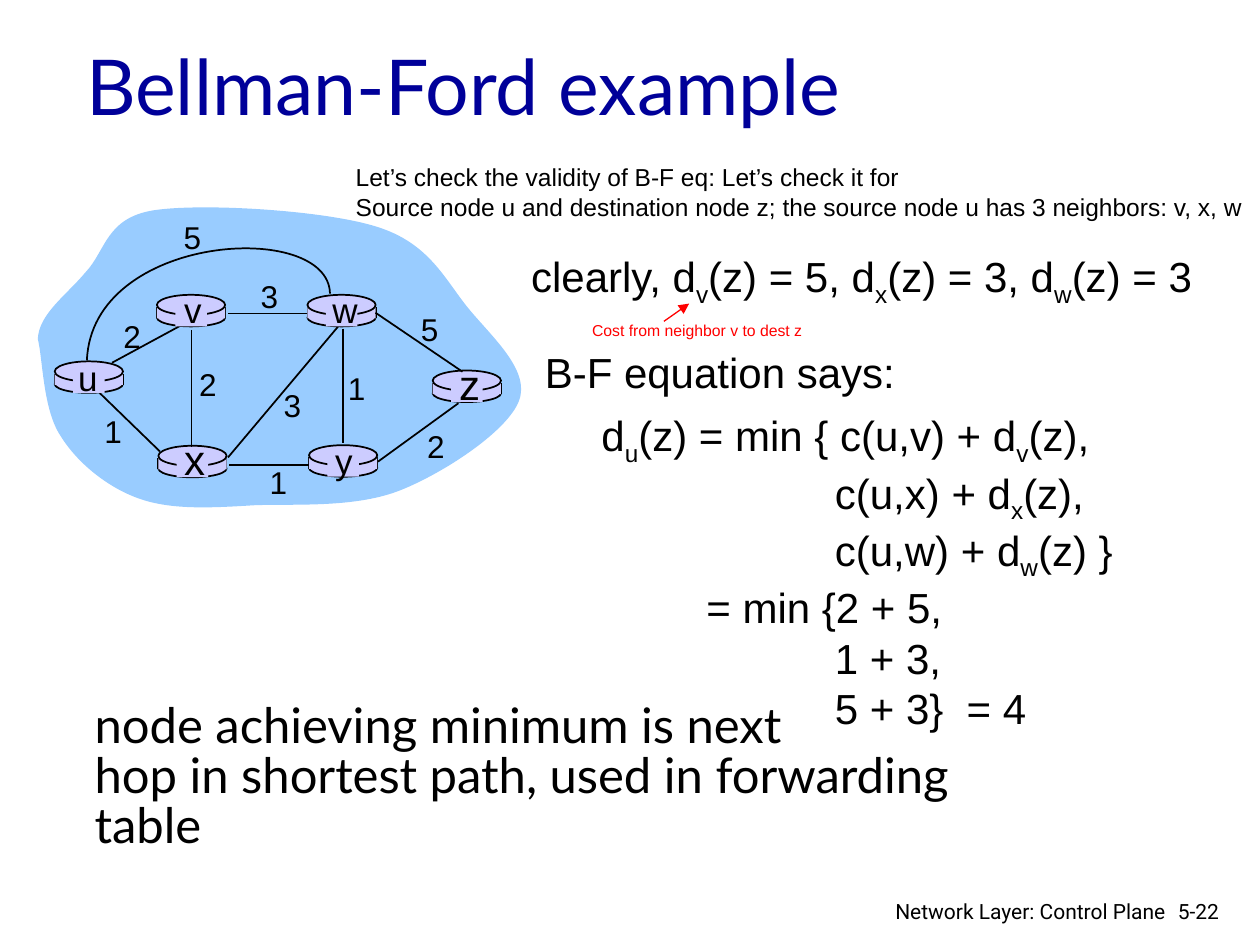
from lxml.etree import SubElement
from pptx import Presentation
from pptx.dml.color import RGBColor
from pptx.enum.shapes import MSO_CONNECTOR, MSO_SHAPE
from pptx.enum.text import MSO_ANCHOR, PP_ALIGN
from pptx.oxml.ns import qn
from pptx.util import Pt

BLACK = RGBColor(0x00, 0x00, 0x00)
NAVY = RGBColor(0x00, 0x00, 0x99)
RED = RGBColor(0xFF, 0x00, 0x00)
SKY = RGBColor(0x99, 0xCC, 0xFF)
LAVENDER = RGBColor(0xCC, 0xCC, 0xFF)

# Router name: left, top, label size, label centre x, label top
ROUTERS = {
    "u": (31.3, 206.5, 20, 50.2, 200), "x": (90.5, 254.75, 24, 111.2, 244.1),
    "v": (89.7, 168.5, 20, 110.2, 161.3), "w": (175.7, 168.5, 20, 195.8, 161.3),
    "y": (176.6, 254.4, 20, 196.5, 247.7), "z": (247.3, 211.75, 24, 268.2, 201.6),
}
# Start x, start y, end x, end y, cost, cost centre x, cost top
LINKS = [
    (64, 207.3, 106.5, 184.3, "2", 75.5, 177.8),
    (196, 187.8, 196, 253, "1", 203.8, 207.5),
    (109.4, 188.5, 109.4, 255.5, "2", 118.8, 205.2),
    (130.3, 261.4, 193.3, 186.5, "3", 167, 217),
    (216, 263.8, 262, 230.4, "2", 249, 240.5),
    (176.5, 265.6, 131, 265.6, "1", 159, 261.2),
    (91.4, 258, 57, 224.6, "1", 64.6, 231.8),
    (175.7, 179.2, 130.3, 179.2, "3", 154, 154.8),
    (264.3, 212.4, 214.6, 178.7, "5", 245.5, 173.5),
]
CLOUD = [
    (21.6, 193.7),
    (22.3, 179.3), (38.2, 168.5), (49, 155.5),
    (60.5, 143.3), (60.5, 124.6), (87.8, 120.2),
    (115.9, 115.9), (185.8, 120.2), (215.3, 129.6),
    (245.5, 139), (254.2, 159.8), (267.8, 176.4),
    (281.5, 193), (303.1, 211.7), (296.6, 229),
    (290.2, 246.2), (254.2, 270), (229, 280.1),
    (203.8, 290.2), (170.6, 288), (146.2, 288.7),
    (121.7, 290.2), (98.6, 291.6), (79.9, 285.1),
    (61.2, 278.6), (43.9, 264.2), (34.6, 249.1),
    (24.5, 234), (24.5, 205.2), (21.6, 193.7),
]
ARC = [(188.6, 167.8), (187.9, 125.3), (52.6, 133.2), (49.7, 205.9)]
EQUATION = [
    ("d_u(z) = min { c(u,v) + d_v(z),", 0),
    ("c(u,x) + d_x(z),", 133.4),
    ("c(u,w) + d_w(z) }", 133.4),
    ("= min {2 + 5,", 60),
    ("1 + 3,", 133.4),
    ("5 + 3}  = 4", 133.4),
]


def bend(shape):
    """Turn each three straight segments of a freeform into one cubic curve."""
    segments = list(shape._element.iter(qn("a:lnTo")))
    for first in range(0, len(segments), 3):
        group = segments[first:first + 3]
        group[0].tag = qn("a:cubicBezTo")
        for segment in group[1:]:
            group[0].append(segment[0])
            segment.getparent().remove(segment)


class Drawing:
    """Holds the text style and the shapes being drawn on."""

    def __init__(self, slide, font="Arial"):
        self.slide = slide
        self.shapes = slide.shapes
        self.font = font

    def style(self, run, size, color=BLACK, font=None):
        """Set size, colour and typeface of a run."""
        run.font.size = Pt(size)
        run.font.color.rgb = color
        run.font.name = font or self.font

    def title(self, text, left, top, width, height):
        """Place and format the title placeholder."""
        shape = self.slide.shapes.title
        shape.left, shape.top, shape.width, shape.height = map(Pt, (left, top, width, height))
        frame = shape.text_frame
        frame.text = text
        frame.vertical_anchor = MSO_ANCHOR.MIDDLE
        frame.paragraphs[0].alignment = PP_ALIGN.LEFT
        self.style(frame.paragraphs[0].runs[0], 44, NAVY, "Lato")

    def text(self, lines, left, top, width, height, size, color=BLACK, font=None,
             align=PP_ALIGN.LEFT, wrap=False, spacing=None):
        """Add text lines of (text, indent); an underscore lowers the next letter."""
        frame = self.shapes.add_textbox(Pt(left), Pt(top), Pt(width), Pt(height)).text_frame
        frame.word_wrap = wrap
        for index, (line, indent) in enumerate(lines):
            paragraph = frame.add_paragraph() if index else frame.paragraphs[0]
            paragraph.alignment = align
            if spacing:
                paragraph.line_spacing = spacing
            if indent:
                paragraph._p.get_or_add_pPr().set("marL", str(Pt(indent)))
            first, *rest = line.split("_")
            pieces = [(first, False)]
            for part in rest:
                pieces += [(part[0], True), (part[1:], False)]
            for piece, lowered in pieces:
                run = paragraph.add_run()
                run.text = piece
                self.style(run, size, color, font)
                if lowered:
                    run._r.get_or_add_rPr().set("baseline", "-25000")

    def label(self, text, center, top, size):
        """Add a short text centred on a given x."""
        self.text([(text, 0)], center - 13, top, 26, size * 1.2 + 7.2, size, align=PP_ALIGN.CENTER)

    def paint(self, shape, fill=None, outline=False):
        """Set fill and outline and drop the shadow."""
        shape.shadow.inherit = False
        if fill is None:
            shape.fill.background()
        else:
            shape.fill.solid()
            shape.fill.fore_color.rgb = fill
        if outline:
            shape.line.color.rgb = BLACK
            shape.line.width = Pt(1)
        else:
            shape.line.fill.background()

    def shape(self, kind, left, top, width, height, outline=False):
        """Add a lavender preset shape."""
        shape = self.shapes.add_shape(kind, Pt(left), Pt(top), Pt(width), Pt(height))
        self.paint(shape, LAVENDER, outline)

    def curve(self, knots, fill=None, outline=False):
        """Add a smooth freeform; a filled one is closed."""
        points = [(Pt(x), Pt(y)) for x, y in knots]
        builder = self.shapes.build_freeform(*points[0])
        builder.add_line_segments(points[1:], close=fill is not None)
        shape = builder.convert_to_shape()
        bend(shape)
        self.paint(shape, fill, outline)

    def line(self, x1, y1, x2, y2, color=BLACK, width=1, arrow=False):
        """Add a straight line, with an arrowhead if asked."""
        connector = self.shapes.add_connector(MSO_CONNECTOR.STRAIGHT, Pt(x1), Pt(y1), Pt(x2), Pt(y2))
        connector.line.color.rgb = color
        connector.line.width = Pt(width)
        if arrow:
            SubElement(connector.line._get_or_add_ln(), qn("a:tailEnd"), type="triangle")
        SubElement(connector._element.spPr, qn("a:effectLst"))

    def router(self, left, top):
        """Draw a router as a flat cylinder."""
        self.shape(MSO_SHAPE.OVAL, left, top + 8, 39, 10, outline=True)
        for x in (left, left + 39):
            self.line(x, top + 7, x, top + 13.5)
        self.shape(MSO_SHAPE.RECTANGLE, left, top + 7, 39, 6.5)
        self.shape(MSO_SHAPE.OVAL, left, top, 39, 11.5, outline=True)

    def network(self):
        """Draw the grouped network graph with its link costs."""
        self.shapes = self.slide.shapes.add_group_shape().shapes
        self.curve(CLOUD, fill=SKY)
        for left, top, *_ in ROUTERS.values():
            self.router(left, top)
        for link in LINKS:
            self.line(*link[:4])
        self.curve(ARC, outline=True)
        for name, (left, top, size, center, label_top) in ROUTERS.items():
            self.shape(MSO_SHAPE.RECTANGLE, left + 10.5, top + 1.5, 18, 16.5)
            self.label(name, center, label_top, size)
        for *_, cost, center, top in LINKS:
            self.label(cost, center, top, 18)
        self.label("5", 110, 121, 18)
        self.shapes = self.slide.shapes


def main():
    """Build and save the slide."""
    presentation = Presentation()
    presentation.slide_width, presentation.slide_height = Pt(720), Pt(540)
    drawing = Drawing(presentation.slides.add_slide(presentation.slide_layouts[5]))
    drawing.title("Bellman-Ford example", 42, 13.7, 612, 69)
    drawing.network()
    drawing.text([("clearly, d_v(z) = 5, d_x(z) = 3, d_w(z) = 3", 0)], 296.4, 139.7, 397.4, 36, 24)
    drawing.text(EQUATION, 336.6, 230.6, 307.4, 180, 24)
    drawing.text([("node achieving minimum is next", 0),
                  ("hop in shortest path, used in forwarding table", 0)],
                 47, 398.5, 533, 65, 28, font="Lato", wrap=True, spacing=0.85)
    drawing.text([("B-F equation says:", 0)], 304.2, 194.4, 214.6, 36, 24)
    drawing.text([("5-22", 0)], 666, 509.8, 43, 21.6, 12, font="Roboto", wrap=True)
    drawing.text([("Network Layer: Control Plane", 0)], 501.8, 509.8, 171.4, 18.7, 12,
                 font="Roboto", align=PP_ALIGN.RIGHT, wrap=True)
    drawing.text([("Let’s check the validity of B-F eq: Let’s check it for", 0),
                  ("Source node u and destination node z; the source node u has 3 neighbors: v, x, w", 0)],
                 196.2, 89.3, 523.4, 41, 14)
    drawing.line(379.4, 183.6, 393.8, 173.5, RED, 0.75, arrow=True)
    drawing.text([("Cost from neighbor v to dest z", 0)], 331.2, 180, 135.4, 18, 9, color=RED)
    presentation.save("out.pptx")


main()
